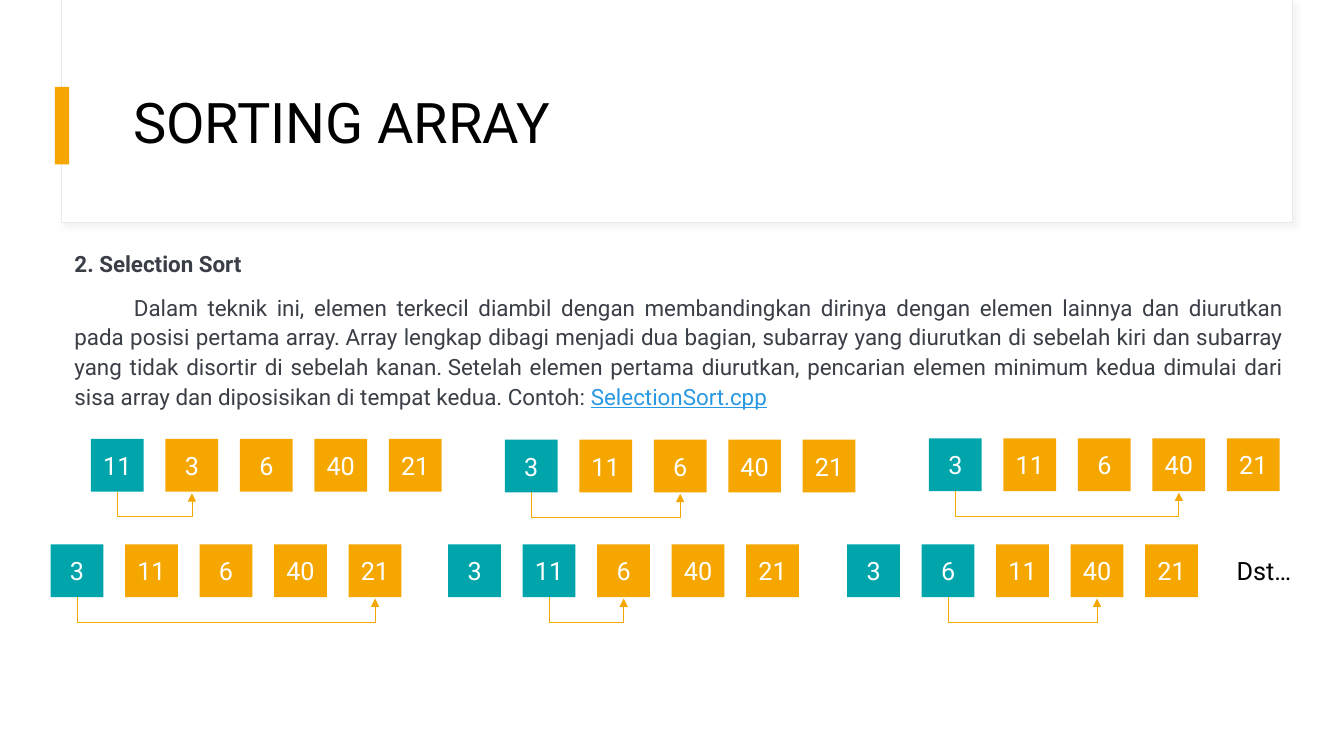
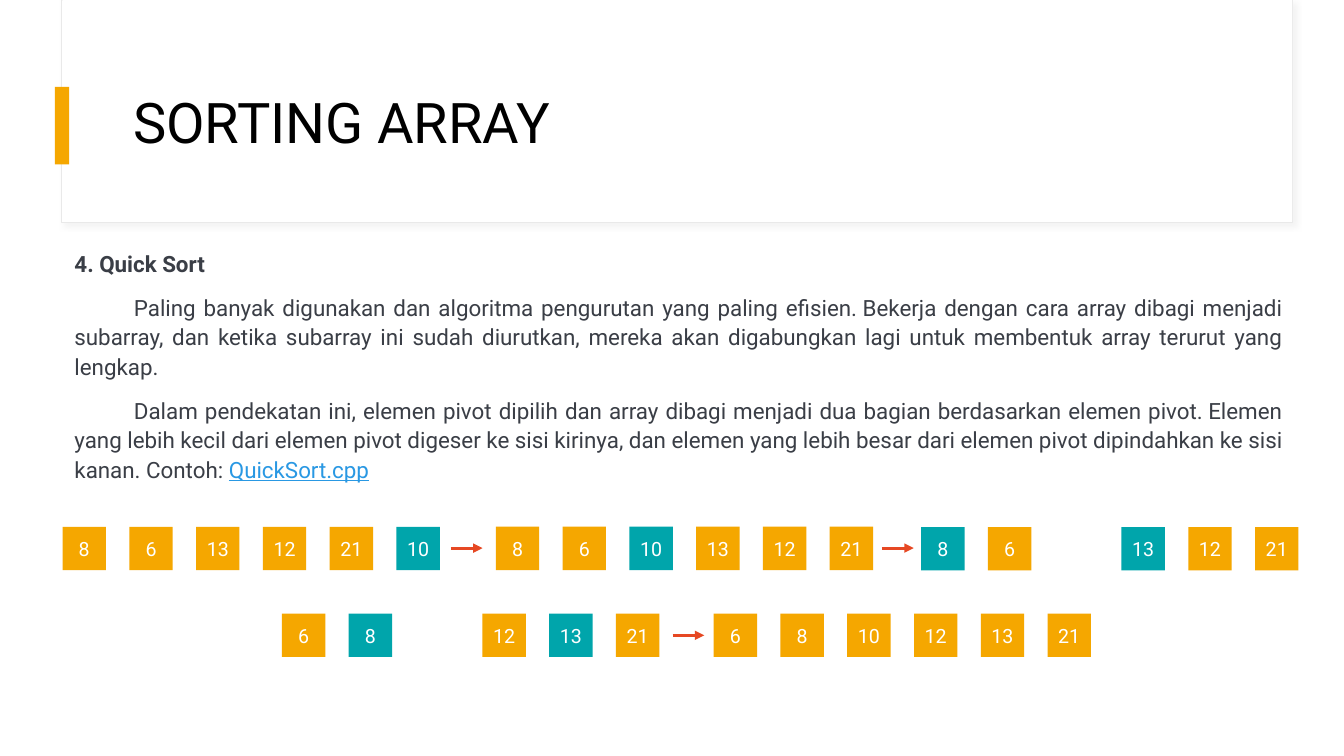
"""Build two slides that explain selection sort and quick sort with rows of array cells."""

from dataclasses import dataclass

from lxml.etree import SubElement
from pptx import Presentation
from pptx.dml.color import RGBColor
from pptx.enum.shapes import MSO_CONNECTOR, MSO_SHAPE
from pptx.enum.text import MSO_ANCHOR, PP_ALIGN
from pptx.oxml.ns import qn
from pptx.shapes.autoshape import Shape
from pptx.shapes.connector import Connector
from pptx.slide import Slide
from pptx.text.text import Font
from pptx.util import Pt

FONT = "Roboto"
WHITE = "FFFFFF"
BLACK = "000000"
ORANGE = "F5A700"
TEAL = "00A5AB"
RED = "E64823"
BODY_GREY = "3A3E46"
FILE_BLUE = "2998E3"
PANEL_EDGE = "E9E9E9"
PANEL_SHADOW = "D9D9D9"


@dataclass(frozen=True)
class CellStyle:
    side: float
    pitch: float
    font_size: float


@dataclass(frozen=True)
class ArrayRow:
    left: float
    top: float
    values: tuple[int, ...]
    marked: tuple[int, ...] = ()
    compared: tuple[int, int] | None = None


@dataclass(frozen=True)
class Step:
    left: float
    top: float


@dataclass(frozen=True)
class Topic:
    heading: str
    explanations: tuple[str, ...]
    file_name: str
    cells: CellStyle
    rows: tuple[ArrayRow, ...]
    steps: tuple[Step, ...] = ()
    ending: str = ""


SELECTION = Topic(
    "2. Selection Sort",
    (
        "Dalam teknik ini, elemen terkecil diambil dengan membandingkan dirinya dengan "
        "elemen lainnya dan diurutkan pada posisi pertama array.\u00a0Array lengkap dibagi "
        "menjadi dua bagian, subarray yang diurutkan di sebelah kiri dan subarray yang "
        "tidak disortir di sebelah kanan.\u00a0Setelah elemen pertama diurutkan, pencarian "
        "elemen minimum kedua dimulai dari sisa array dan diposisikan di tempat kedua. "
        "Contoh: ",
    ),
    "SelectionSort.cpp",
    CellStyle(37.7, 53.2, 18),
    (
        ArrayRow(65, 313.6, (11, 3, 6, 40, 21), (0,), (0, 1)),
        ArrayRow(360.6, 314, (3, 11, 6, 40, 21), (0,), (0, 2)),
        ArrayRow(663.6, 313.2, (3, 11, 6, 40, 21), (0,), (0, 3)),
        ArrayRow(36.2, 388.8, (3, 11, 6, 40, 21), (0,), (0, 4)),
        ArrayRow(320.2, 388.8, (3, 11, 6, 40, 21), (0, 1), (1, 2)),
        ArrayRow(605.2, 388.8, (3, 6, 11, 40, 21), (0, 1), (1, 3)),
    ),
    ending="Dst…",
)

QUICK = Topic(
    "4. Quick Sort",
    (
        "Paling banyak digunakan dan algoritma pengurutan yang paling efisien.\u00a0Bekerja "
        "dengan cara array dibagi menjadi subarray, dan ketika subarray ini sudah "
        "diurutkan, mereka akan digabungkan lagi untuk membentuk array terurut yang "
        "lengkap.",
        "Dalam pendekatan ini, elemen pivot dipilih dan array dibagi menjadi dua bagian "
        "berdasarkan elemen pivot.\u00a0Elemen yang lebih kecil dari elemen pivot digeser ke "
        "sisi kirinya, dan elemen yang lebih besar dari elemen pivot dipindahkan ke sisi "
        "kanan. Contoh: ",
    ),
    "QuickSort.cpp",
    CellStyle(31, 47.7, 14),
    (
        ArrayRow(44.7, 376.3, (8, 6, 13, 12, 21, 10), (5,)),
        ArrayRow(354.2, 376.2, (8, 6, 10, 13, 12, 21), (2,)),
        ArrayRow(658, 376.5, (8, 6), (0,)),
        ArrayRow(801.1, 376.5, (13, 12, 21), (0,)),
        ArrayRow(201.4, 438.3, (6, 8), (1,)),
        ArrayRow(344.6, 438.3, (12, 13, 21), (1,)),
        ArrayRow(509.8, 438.3, (6, 8, 10, 12, 13, 21)),
    ),
    (Step(322, 391.5), Step(630, 391.5), Step(480.4, 453.8)),
)


def color(code: str) -> RGBColor:
    """Turn a hex string into a colour."""
    return RGBColor.from_string(code)


def set_font(font: Font, size: float, code: str, bold: bool = False) -> None:
    """Apply the deck font with a size, colour and weight."""
    font.name = FONT
    font.size = Pt(size)
    font.bold = bold
    font.color.rgb = color(code)


def add_block(slide: Slide, left: float, top: float, width: float, height: float,
              fill: str) -> Shape:
    """Draw a plain filled rectangle."""
    block = slide.shapes.add_shape(
        MSO_SHAPE.RECTANGLE, Pt(left), Pt(top), Pt(width), Pt(height))
    block.shadow.inherit = False
    block.fill.solid()
    block.fill.fore_color.rgb = color(fill)
    block.line.fill.background()
    return block


def add_text_box(slide: Slide, left: float, top: float, width: float,
                 height: float) -> Shape:
    """Add an empty wrapping text box."""
    box = slide.shapes.add_textbox(Pt(left), Pt(top), Pt(width), Pt(height))
    box.text_frame.word_wrap = True
    return box


def add_soft_shadow(panel: Shape) -> None:
    """Give the title panel its faint outer shadow."""
    effects = panel.element.spPr.find(qn("a:effectLst"))
    shadow = SubElement(effects, qn("a:outerShdw"), blurRad=str(Pt(4)),
                        dist=str(Pt(3)), dir="2700000", algn="tl", rotWithShape="0")
    tint = SubElement(shadow, qn("a:srgbClr"), val=PANEL_SHADOW)
    SubElement(tint, qn("a:alpha"), val="30000")


def add_title_area(slide: Slide) -> None:
    """Draw the title panel, accent bar and title."""
    panel = add_block(slide, 44, 0, 879.2, 159, WHITE)
    panel.line.color.rgb = color(PANEL_EDGE)
    panel.line.width = Pt(0.75)
    add_soft_shadow(panel)
    add_block(slide, 44.6, 0, 878.4, 158.4, WHITE)
    add_block(slide, 39.3, 62, 10.2, 55.4, ORANGE)
    title = add_text_box(slide, 88, 43.2, 800.6, 92.9).text_frame
    title.vertical_anchor = MSO_ANCHOR.MIDDLE
    heading = title.paragraphs[0]
    heading.text = "SORTING ARRAY"
    heading.line_spacing = 0.9
    set_font(heading.font, 40, BLACK)


def add_explanation(slide: Slide, topic: Topic) -> None:
    """Write the heading, the indented paragraphs and the example file name."""
    frame = add_text_box(slide, 46.1, 173.5, 877.7, 339.8).text_frame
    for index, wording in enumerate((topic.heading, *topic.explanations)):
        paragraph = frame.add_paragraph() if index else frame.paragraphs[0]
        paragraph.text = wording
        paragraph.alignment = PP_ALIGN.JUSTIFY
        paragraph.line_spacing = 1.1
        paragraph.space_before = Pt(10)
        set_font(paragraph.font, 16, BODY_GREY, bold=index == 0)
        if index:
            properties = paragraph._p.get_or_add_pPr()
            properties.set("marL", "0")
            properties.set("indent", str(Pt(42.5)))
    example = paragraph.add_run()
    example.text = topic.file_name
    example.font.color.rgb = color(FILE_BLUE)
    example.font.underline = True


def style_arrow(arrow: Connector, code: str, width: float) -> None:
    """Set an arrow's line and head and remove its shadow."""
    arrow.line.color.rgb = color(code)
    arrow.line.width = Pt(width)
    properties = arrow.element.spPr
    SubElement(properties.find(qn("a:ln")), qn("a:tailEnd"), type="triangle")
    SubElement(properties, qn("a:effectLst"))


def add_comparison(slide: Slide, start: float, end: float, top: float) -> None:
    """Draw a U-shaped arrow below two compared cells."""
    drop, rise = 18, 1
    middle, half_span = (start + end) / 2, (end - start) / 2
    center = top + rise / 2
    arrow = slide.shapes.add_connector(
        MSO_CONNECTOR.ELBOW, Pt(middle + rise / 2), Pt(center - half_span),
        Pt(middle - rise / 2), Pt(center + half_span))
    properties = arrow.element.spPr
    properties.find(qn("a:xfrm")).set("rot", "16200000")
    adjustments = properties.find(qn("a:prstGeom")).find(qn("a:avLst"))
    SubElement(adjustments, qn("a:gd"), name="adj1", fmla=f"val {drop * 100000 // rise}")
    style_arrow(arrow, ORANGE, 0.5)


def add_row(slide: Slide, row: ArrayRow, style: CellStyle) -> None:
    """Draw one array as a row of cells with its comparison arrow."""
    for index, value in enumerate(row.values):
        cell = add_block(slide, row.left + index * style.pitch, row.top, style.side,
                         style.side, TEAL if index in row.marked else ORANGE)
        frame = cell.text_frame
        frame.margin_left = frame.margin_right = 0
        frame.vertical_anchor = MSO_ANCHOR.MIDDLE
        number = frame.paragraphs[0]
        number.text = str(value)
        number.alignment = PP_ALIGN.CENTER
        set_font(number.font, style.font_size, WHITE)
    if row.compared:
        start, end = (row.left + index * style.pitch + style.side / 2
                      for index in row.compared)
        add_comparison(slide, start, end, row.top + style.side)


def add_step(slide: Slide, step: Step) -> None:
    """Draw the arrow that leads to the next state."""
    arrow = slide.shapes.add_connector(
        MSO_CONNECTOR.STRAIGHT, Pt(step.left), Pt(step.top),
        Pt(step.left + 22.7), Pt(step.top))
    style_arrow(arrow, RED, 2.25)


def add_ending(slide: Slide, wording: str) -> None:
    """Write the note that the steps go on."""
    paragraph = add_text_box(slide, 876.2, 393.4, 72, 29).text_frame.paragraphs[0]
    paragraph.text = wording
    set_font(paragraph.font, 18, BLACK)


deck = Presentation()
deck.slide_width, deck.slide_height = Pt(960), Pt(540)
for topic in (SELECTION, QUICK):
    slide = deck.slides.add_slide(deck.slide_layouts[6])
    add_title_area(slide)
    add_explanation(slide, topic)
    for row in topic.rows:
        add_row(slide, row, topic.cells)
    for step in topic.steps:
        add_step(slide, step)
    if topic.ending:
        add_ending(slide, topic.ending)
deck.save("out.pptx")
